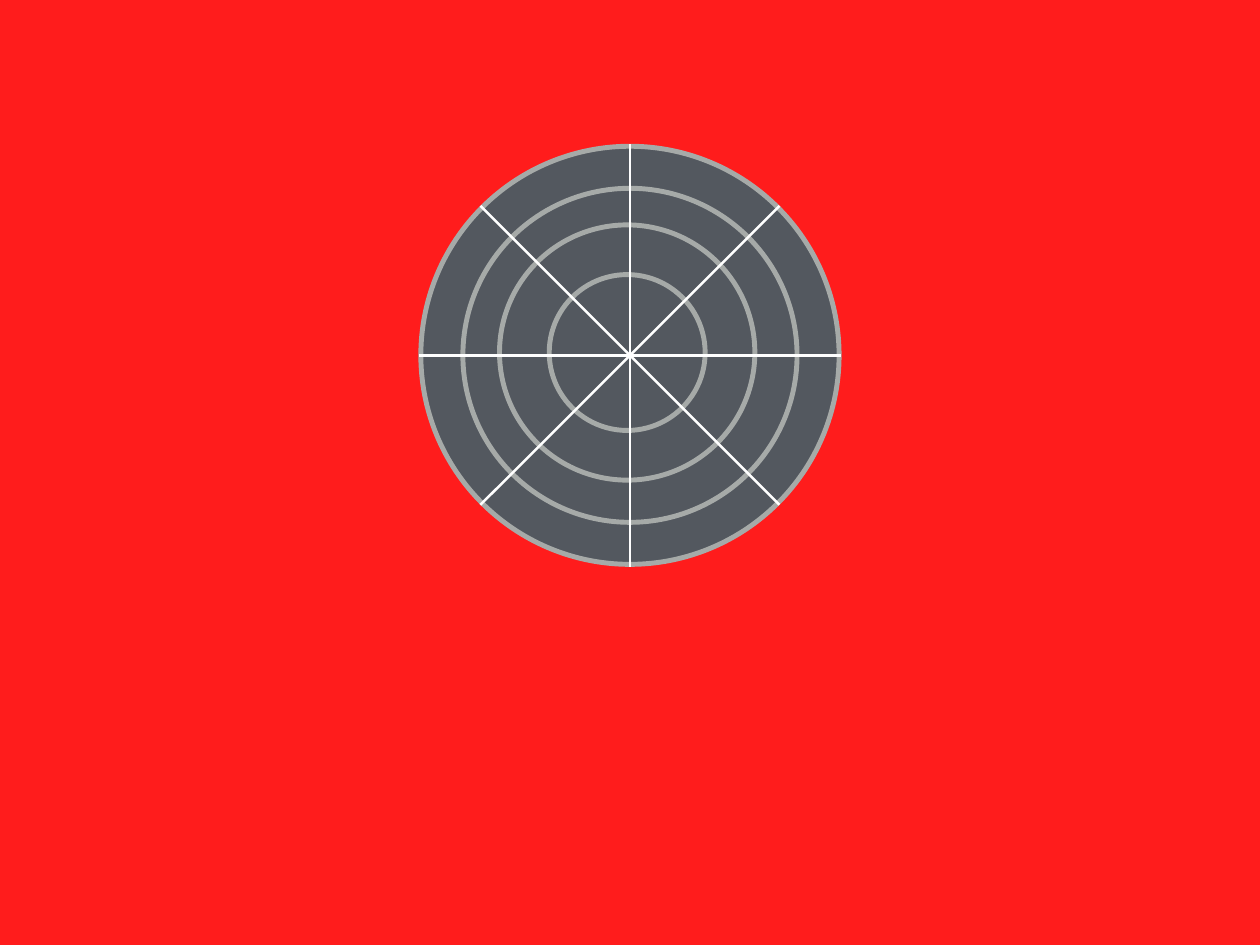
from dataclasses import dataclass
from math import cos, radians, sin

from lxml.etree import SubElement
from pptx import Presentation
from pptx.dml.color import RGBColor
from pptx.enum.shapes import MSO_CONNECTOR as Connector, MSO_SHAPE as Shape
from pptx.oxml.ns import qn
from pptx.slide import Slide
from pptx.util import Cm, Pt


@dataclass(frozen=True)
class Theme:
    background: RGBColor = RGBColor(0xFF, 0x1C, 0x1C)
    disc: RGBColor = RGBColor(0x53, 0x58, 0x5F)
    ring: RGBColor = RGBColor(0xA6, 0xAA, 0xA8)
    spoke: RGBColor = RGBColor(0xFF, 0xFF, 0xFF)
    ring_width: Pt = Pt(4)
    spoke_width: Pt = Pt(2)


@dataclass(frozen=True)
class Ring:
    center_x: float
    center_y: float
    diameter: float


@dataclass(frozen=True)
class Spoke:
    angle: float  # degrees, counterclockwise from the horizontal


THEME = Theme()
HUB_X, HUB_Y = 18.06, 10.19
SPOKE_RADIUS = 6.06

# Outermost ring first; the two inner rings sit slightly off the hub
RINGS = [
    Ring(HUB_X, HUB_Y, 11.99),
    Ring(HUB_X, HUB_Y, 9.58),
    Ring(17.98, 10.11, 7.32),
    Ring(17.98, 10.11, 4.47),
]
SPOKES = [Spoke(angle) for angle in (0, 90, 45, 135)]


def draw_ring(page: Slide, ring: Ring) -> None:
    radius = ring.diameter / 2
    disc = page.shapes.add_shape(
        Shape.OVAL,
        Cm(ring.center_x - radius), Cm(ring.center_y - radius),
        Cm(ring.diameter), Cm(ring.diameter),
    )
    disc.shadow.inherit = False
    disc.fill.solid()
    disc.fill.fore_color.rgb = THEME.disc
    disc.line.color.rgb = THEME.ring
    disc.line.width = THEME.ring_width


def draw_spoke(page: Slide, spoke: Spoke) -> None:
    reach_x = SPOKE_RADIUS * cos(radians(spoke.angle))
    reach_y = SPOKE_RADIUS * sin(radians(spoke.angle))
    line = page.shapes.add_connector(
        Connector.STRAIGHT,
        Cm(HUB_X - reach_x), Cm(HUB_Y + reach_y),
        Cm(HUB_X + reach_x), Cm(HUB_Y - reach_y),
    )
    line.line.color.rgb = THEME.spoke
    line.line.width = THEME.spoke_width
    SubElement(line._element.spPr, qn("a:effectLst"))


def main() -> None:
    deck = Presentation()
    deck.slide_width, deck.slide_height = Cm(36.12), Cm(27.1)
    page = deck.slides.add_slide(deck.slide_layouts[6])

    # Background
    page.background.fill.solid()
    page.background.fill.fore_color.rgb = THEME.background

    # Radar dial
    for ring in RINGS:
        draw_ring(page, ring)
    for spoke in SPOKES:
        draw_spoke(page, spoke)

    deck.save("out.pptx")


if __name__ == "__main__":
    main()
